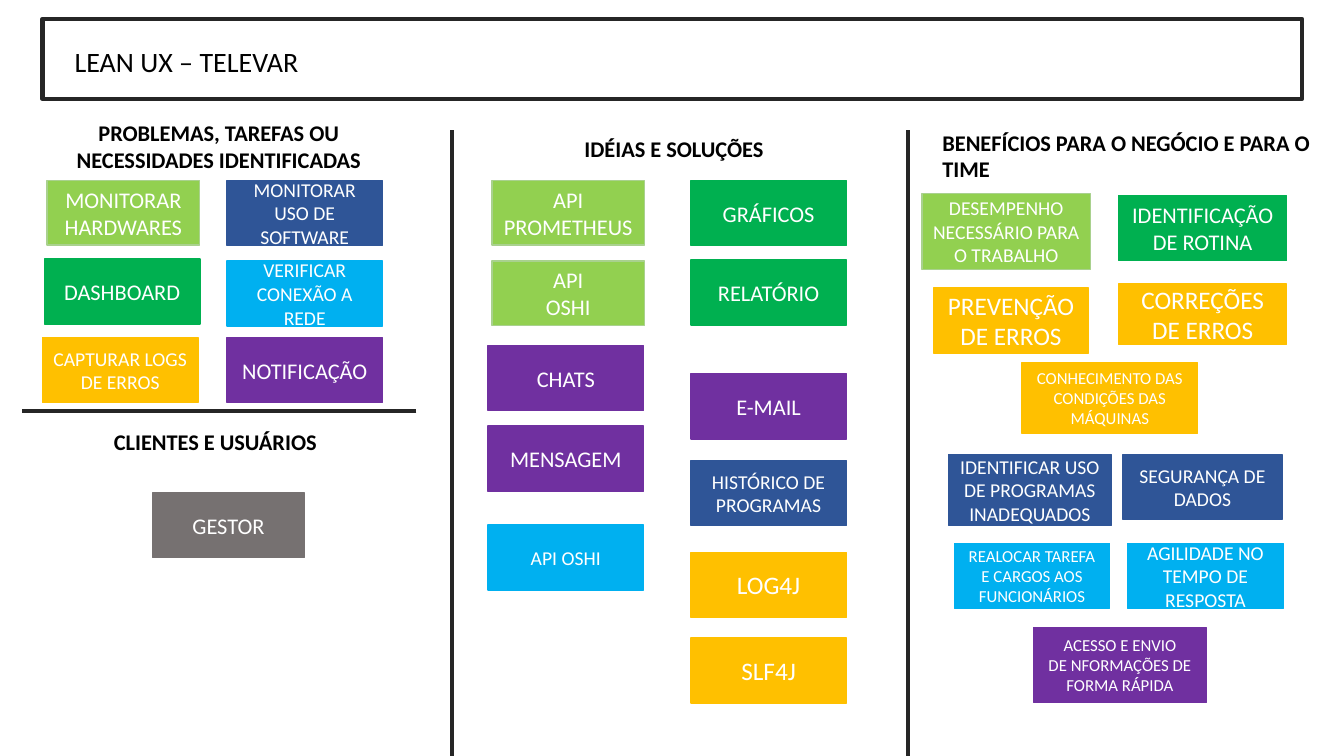
from dataclasses import dataclass

from lxml import etree
from pptx import Presentation
from pptx.dml.color import RGBColor
from pptx.enum.shapes import MSO_CONNECTOR, MSO_SHAPE
from pptx.enum.text import MSO_ANCHOR, MSO_AUTO_SIZE, PP_ALIGN
from pptx.oxml.ns import qn
from pptx.util import Cm, Pt

FONT = "Calibri"
BLACK = RGBColor(0x00, 0x00, 0x00)
WHITE = RGBColor(0xFF, 0xFF, 0xFF)
INK = RGBColor(0x26, 0x26, 0x26)
LIME = RGBColor(0x92, 0xD0, 0x50)
LIME_EDGE = RGBColor(0xA9, 0xD1, 0x8E)
GREEN = RGBColor(0x00, 0xB0, 0x50)
NAVY = RGBColor(0x2F, 0x55, 0x97)
SKY = RGBColor(0x00, 0xB0, 0xF0)
AMBER = RGBColor(0xFF, 0xC0, 0x00)
PURPLE = RGBColor(0x70, 0x30, 0xA0)
GRAY = RGBColor(0x76, 0x71, 0x71)

NOTE_W, NOTE_H = 3.92, 1.64


@dataclass
class Box:
    """A region of the canvas, in centimetres."""
    x: float
    y: float
    w: float
    h: float

    def inner(self, dx, dy, w, h):
        return Box(self.x + dx, self.y + dy, w, h)

    def lengths(self):
        return Cm(self.x), Cm(self.y), Cm(self.w), Cm(self.h)


def write(frame, text, size, color, bold=False, align=PP_ALIGN.LEFT):
    frame.word_wrap = True
    frame.text = text
    for paragraph in frame.paragraphs:
        paragraph.alignment = align
        font = paragraph.runs[0].font
        font.name, font.size, font.bold = FONT, Pt(size), bold
        font.color.rgb = color


def add_label(slide, box, text, size=16, bold=True, align=PP_ALIGN.LEFT):
    frame = slide.shapes.add_textbox(*box.lengths()).text_frame
    write(frame, text, size, BLACK, bold, align)
    frame.auto_size = MSO_AUTO_SIZE.SHAPE_TO_FIT_TEXT


def add_rule(slide, x1, y1, x2, y2):
    rule = slide.shapes.add_connector(
        MSO_CONNECTOR.STRAIGHT, Cm(x1), Cm(y1), Cm(x2), Cm(y2))
    rule.line.color.rgb = INK
    rule.line.width = Pt(3)
    etree.SubElement(rule._element.spPr, qn("a:effectLst"))


def add_rectangle(slide, box, line_color, line_width):
    shape = slide.shapes.add_shape(MSO_SHAPE.RECTANGLE, *box.lengths())
    shape.shadow.inherit = False
    shape.line.color.rgb = line_color
    shape.line.width = Pt(line_width)
    return shape


def add_notes(slide, box, notes):
    """Each note: text, colour, font size, dx, dy and, if unusual, width, height."""
    for text, color, size, dx, dy, *extent in notes:
        w, h = extent or (NOTE_W, NOTE_H)
        edge = LIME_EDGE if color == LIME else color
        note = add_rectangle(slide, box.inner(dx, dy, w, h), edge, 1)
        note.fill.solid()
        note.fill.fore_color.rgb = color
        note.text_frame.vertical_anchor = MSO_ANCHOR.MIDDLE
        write(note.text_frame, text, size, WHITE, align=PP_ALIGN.CENTER)


# Title banner
def add_banner(slide, box):
    add_rectangle(slide, box, INK, 3).fill.background()
    add_label(slide, box.inner(0.56, 0.51, 30.6, 1.11),
              "LEAN UX – TELEVAR", size=20, bold=False)


# Problems, closed by a rule along the bottom
def add_problems(slide, box):
    bottom = box.y + box.h
    add_rule(slide, box.x + box.w, bottom, box.x, bottom)
    add_label(slide, box.inner(0.18, 0, 9.55, 1.63),
              "PROBLEMAS, TAREFAS OU\nNECESSIDADES IDENTIFICADAS",
              align=PP_ALIGN.CENTER)
    top, middle, low = (1.68 + 1.98 * row for row in range(3))
    right = 5.16
    add_notes(slide, box, [
        ("MONITORAR HARDWARES", LIME, 16, 0.63, top, 3.84, 1.63),
        ("MONITORAR USO DE SOFTWARE", NAVY, 14, right, top),
        ("DASHBOARD", GREEN, 16, 0.56, middle),
        ("VERIFICAR CONEXÃO A REDE", SKY, 14, right, middle + 0.05),
        ("CAPTURAR LOGS DE ERROS", AMBER, 14, 0.51, low),
        ("NOTIFICAÇÃO", PURPLE, 16, right, low),
    ])


# Clients and users
def add_clients(slide, box):
    add_label(slide, box.inner(2.06, 0.31, 7.01, 0.94), "CLIENTES E USUÁRIOS")
    add_notes(slide, box, [("GESTOR", GRAY, 16, 3.28, 2.06, 3.84, 1.63)])


# Ideas, with a rule down the left side
def add_ideas(slide, box):
    add_rule(slide, box.x, box.y, box.x, box.y + box.h)
    add_label(slide, box.inner(3.08, 0, 6.3, 0.94), "IDÉIAS E SOLUÇÕES")
    left, right = 0.9, 6.01
    add_notes(slide, box, [
        ("API PROMETHEUS", LIME, 16, 1, 1.27, 3.84, 1.63),
        ("API\nOSHI", LIME, 16, 1, 3.3, 3.84, 1.63),
        ("CHATS", PURPLE, 16, left, 5.43),
        ("MENSAGEM", PURPLE, 16, left, 7.46),
        ("API OSHI", SKY, 14, left, 9.95),
        ("GRÁFICOS", GREEN, 16, right, 1.27),
        ("RELATÓRIO", GREEN, 16, right, 3.27),
        ("E-MAIL", PURPLE, 16, right, 6.14),
        ("HISTÓRICO DE PROGRAMAS", NAVY, 14, right, 8.33),
        ("LOG4J", AMBER, 18, right, 10.64),
        ("SLF4J", AMBER, 18, right, 12.8),
    ])


# Benefits, with a rule down the left side
def add_benefits(slide, box):
    add_rule(slide, box.x, box.y, box.x, box.y + box.h)
    add_label(slide, box.inner(0.61, -0.16, 10.01, 1.63),
              "BENEFÍCIOS PARA O NEGÓCIO E PARA O TIME")
    add_notes(slide, box, [
        ("DESEMPENHO NECESSÁRIO PARA O TRABALHO", LIME, 14, 0.35, 1.6, 4.24, 1.91),
        ("IDENTIFICAÇÃO DE ROTINA", GREEN, 16, 5.3, 1.65, 4.24, NOTE_H),
        ("PREVENÇÃO DE ERROS", AMBER, 18, 0.63, 3.98),
        ("CORREÇÕES DE ERROS", AMBER, 18, 5.3, 3.88, 4.24, 1.52),
        ("CONHECIMENTO DAS CONDIÇÕES DAS MÁQUINAS", AMBER, 12, 2.87, 5.86, 4.42, 1.78),
        ("IDENTIFICAR USO DE PROGRAMAS INADEQUADOS", NAVY, 14, 1.01, 8.18, 4.11, 1.78),
        ("SEGURANÇA DE DADOS", NAVY, 14, 5.41, 8.18, 4.01, NOTE_H),
        ("REALOCAR TAREFA E CARGOS AOS FUNCIONÁRIOS", SKY, 12, 1.16, 10.41),
        ("AGILIDADE NO TEMPO DE RESPOSTA", SKY, 14, 5.53, 10.41),
        ("ACESSO E ENVIO DE\u00a0NFORMAÇÕES DE FORMA RÁPIDA", PURPLE, 12,
         3.15, 12.54, 4.37, 1.88),
    ])


deck = Presentation()
deck.slide_width, deck.slide_height = Cm(33.87), Cm(19.05)
canvas = deck.slides.add_slide(deck.slide_layouts[6])
add_banner(canvas, Box(1.07, 0.48, 31.75, 2.01))
add_problems(canvas, Box(0.56, 2.87, 9.93, 7.49))
add_clients(canvas, Box(0.56, 10.36, 9.93, 8.69))
add_ideas(canvas, Box(11.4, 3.28, 11.49, 15.77))
add_benefits(canvas, Box(22.89, 3.28, 10.98, 15.77))
deck.save("out.pptx")
